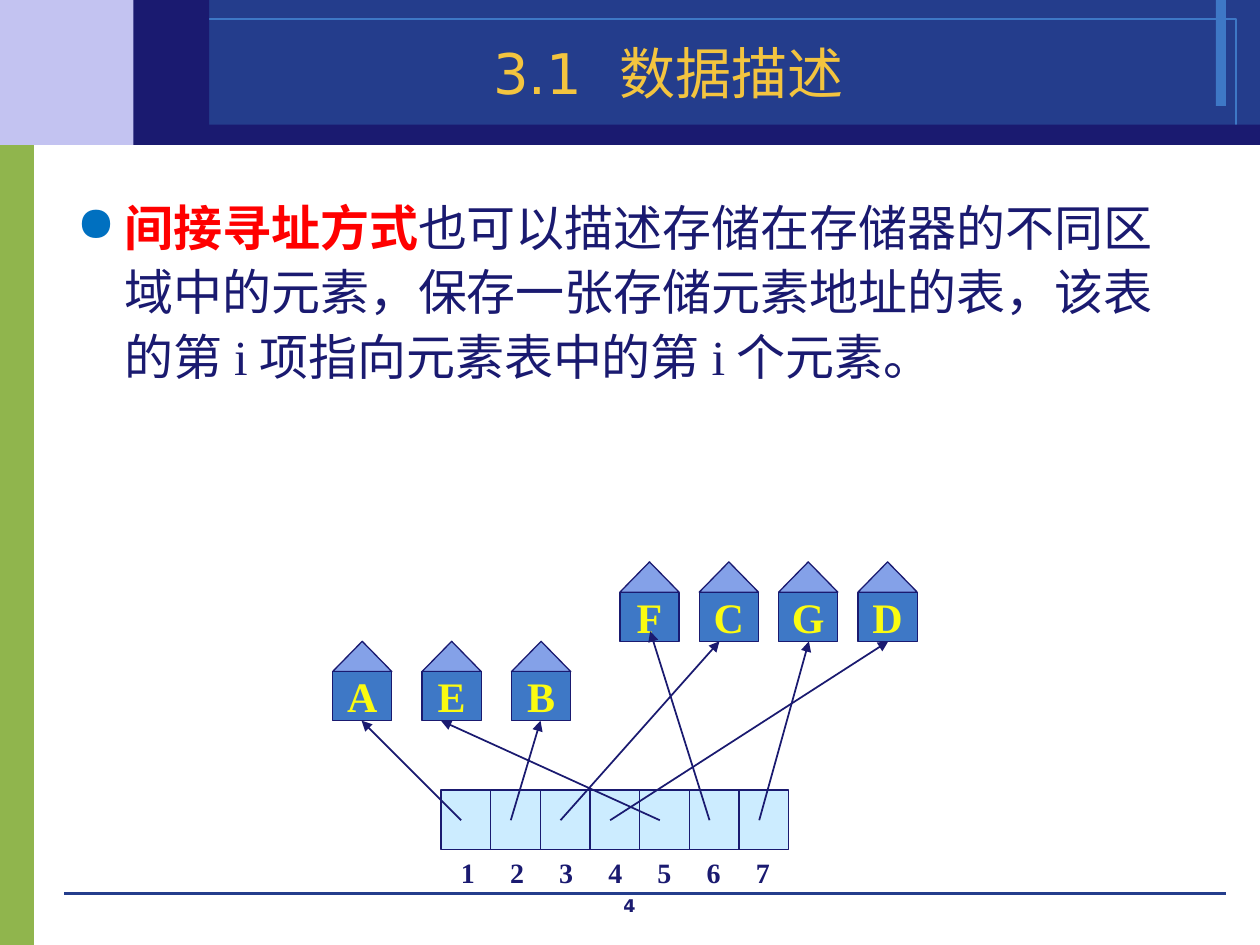
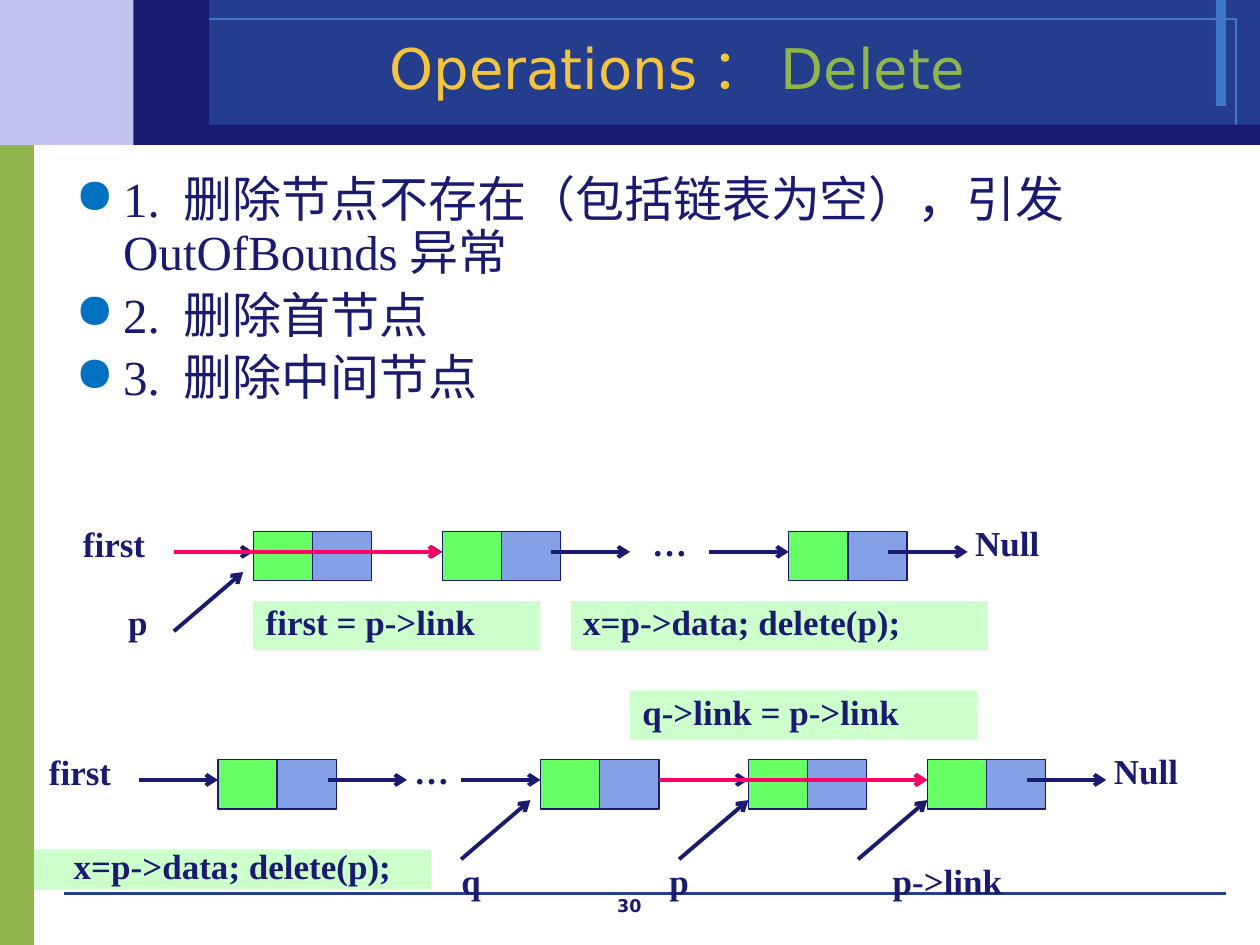
from lxml import etree
from pptx import Presentation
from pptx.dml.color import RGBColor
from pptx.enum import shapes, text
from pptx.oxml import ns
from pptx.util import Inches, Pt

HUE = {
    "navy": "1A1A70", "blue": "243D8C", "sky": "3E78C6", "lilac": "C3C3F1",
    "olive": "90B54D", "gold": "F3C43F", "dot": "0070C0", "red": "FF0000",
    "roof": "84A1E8", "glow": "FBFB11", "ice": "CCECFF", "lime": "66FF66",
    "mint": "CCFFCC", "pink": "FF0066",
}
SANS, SERIF = "DejaVu Sans", "Times New Roman"
RECT = shapes.MSO_SHAPE.RECTANGLE
ROOF = shapes.MSO_SHAPE.ISOSCELES_TRIANGLE
LEFT, MID = text.PP_ALIGN.LEFT, text.PP_ALIGN.CENTER
UNIT, TALL = 0.47, 0.39   # width and height of a house or of half a node
STEP = 2.76 / 7           # width of a cell in the address table


def rgb(hue):
    return RGBColor.from_string(HUE[hue])


def add(parent, tag, **attrs):
    return etree.SubElement(parent, ns.qn(tag), attrs)


def style(font, size, hue, name=SERIF, bold=False):
    font.size, font.name, font.bold = Pt(size), name, bold
    font.color.rgb = rgb(hue)


def block(slide, x, y, w, h, fill=None, line=None, width=0.75, kind=RECT):
    shape = slide.shapes.add_shape(kind, *map(Inches, (x, y, w, h)))
    shape.shadow.inherit = False
    if fill:
        shape.fill.solid()
        shape.fill.fore_color.rgb = rgb(fill)
    else:
        shape.fill.background()
    if line:
        shape.line.color.rgb = rgb(line)
        shape.line.width = Pt(width)
    else:
        shape.line.fill.background()
    return shape


def box(slide, x, y, w, h):
    return slide.shapes.add_textbox(*map(Inches, (x, y, w, h)))


def write(shape, words, size, align=MID, hue="navy", space=None):
    """Put one bold line in the vertical middle of a shape."""
    frame = shape.text_frame
    frame.word_wrap = True
    frame.vertical_anchor = text.MSO_ANCHOR.MIDDLE
    if align == MID:
        frame.margin_left = frame.margin_right = 0
    para = frame.paragraphs[0]
    para.text, para.alignment = words, align
    if space:
        para.line_spacing = space
    style(para.font, size, hue, bold=True)


def link(slide, x1, y1, x2, y2, hue="navy", width=2.25, head=None):
    line = slide.shapes.add_connector(
        shapes.MSO_CONNECTOR.STRAIGHT, *map(Inches, (x1, y1, x2, y2)))
    line.line.color.rgb = rgb(hue)
    line.line.width = Pt(width)
    if head:
        add(line.line._get_or_add_ln(), "a:tailEnd", type=head)
    add(line._element.spPr, "a:effectLst")


def frame(slide, page):
    """Draw the bands, the footer rule and the page number."""
    block(slide, 0, 1.07, 0.27, 6.43, "olive")
    block(slide, 0, 0, 1.53, 1.15, "lilac")
    block(slide, 1.53, 0, 8.47, 1.15, "blue")
    block(slide, 9.65, 0, 0.08, 0.84, "sky")
    block(slide, 1.19, 0.15, 8.62, 0.85, line="sky", width=0)
    link(slide, 0.51, 7.09, 9.73, 7.09, "blue", 0)
    block(slide, 1.3, 0.99, 8.7, 0.16, "navy")
    block(slide, 1.06, 0, 0.6, 1.15, "navy")
    para = box(slide, 3.83, 7.05, 2.33, 0.25).text_frame.paragraphs[0]
    para.text, para.alignment = page, MID
    style(para.font, 10, "navy", SANS, True)


def head(slide, parts, space=1.0):
    """Fill the title from (words, hue) parts and lift it above the bands."""
    title = slide.shapes.title
    title.left, title.top, title.width, title.height = map(
        Inches, (1.19, 0.26, 8.23, 0.62))
    body = title.text_frame
    body.auto_size = text.MSO_AUTO_SIZE.NONE
    body.vertical_anchor = text.MSO_ANCHOR.MIDDLE
    para = body.paragraphs[0]
    para.alignment, para.line_spacing = MID, space
    style(para.font, 32, parts[0][1], SANS)
    for words, hue in parts:
        run = para.add_run()
        run.text = words
        if hue != parts[0][1]:
            run.font.color.rgb = rgb(hue)
    slide.shapes.element.append(title.element)


def points(slide, x, y, items, space):
    """Write bulleted items, each a pair (red bold lead, rest)."""
    body = box(slide, x, y, 9, 2.5).text_frame
    body.word_wrap = True
    for i, (lead, rest) in enumerate(items):
        para = body.add_paragraph() if i else body.paragraphs[0]
        para.line_spacing = space
        if i:
            para.space_before = Pt(5.6)
        props = para._p.get_or_add_pPr()
        props.set("marL", str(Inches(0.38)))
        props.set("indent", str(-Inches(0.38)))
        add(add(props, "a:buClr"), "a:srgbClr", val=HUE["dot"])
        add(props, "a:buChar", char="●")
        style(para.font, 28, "navy")
        if lead:
            run = para.add_run()
            run.text = lead
            run.font.bold = True
            run.font.color.rgb = rgb("red")
        para.add_run().text = rest


def street(slide, x, y, step, names):
    """Draw a row of houses, one for each name."""
    for i, name in enumerate(names):
        left = x + i * step
        block(slide, left, y, UNIT, 0.24, "roof", "navy", kind=ROOF)
        wall = block(slide, left, y + 0.24, UNIT, TALL, "sky", "navy")
        write(wall, name, 24, hue="glow")


def table(slide, x, y, goals):
    """Draw the address cells, their arrows to the goals, and their indices."""
    for i in range(len(goals)):
        block(slide, x + i * STEP, y, STEP, UNIT, "ice", "navy")
    for i, goal in enumerate(goals):
        link(slide, x + 0.16 + i * STEP, y + 0.24, *goal, width=1,
             head="triangle")
    para = box(slide, x + 0.06, y + 0.47, 2.91, 0.37).text_frame.paragraphs[0]
    count = len(goals)
    para.text = "\t".join(str(i + 1) for i in range(count))
    tabs = add(para._p.get_or_add_pPr(), "a:tabLst")
    for i in range(1, count):
        add(tabs, "a:tab", pos=str(Inches(0.39 * i)), algn="l")
    style(para.font, 16, "navy", bold=True)


def chain(slide, x, y, nodes, links, tags, hops, skip):
    """Draw a linked list; all places are offsets from x and y."""
    for left in nodes:
        block(slide, x + left + UNIT, y, UNIT, TALL, "roof", "navy")
        block(slide, x + left, y, UNIT, TALL, "lime", "navy")
    mid = y + 0.16
    for left in links:
        link(slide, x + left, mid, x + left + 0.63, mid, head="arrow")
    for left in hops:
        link(slide, x + left, y + 0.79, x + left + 0.55, y + 0.32,
             head="arrow")
    link(slide, x + skip[0], mid, x + skip[1], mid, "pink", head="arrow")
    for words, left, top, wide in tags:
        write(box(slide, x + left, y + top, wide, TALL), words, 20, space=0.8)


def note(slide, x, y, w, words, h=TALL, align=LEFT):
    write(block(slide, x, y, w, h, "mint"), words, 20, align, space=0.8)


def address(slide):
    frame(slide, "4")
    head(slide, [("3.1\t数据描述", "gold")])
    points(slide, 0.51, 1.47, [(
        "间接寻址方式",
        "也可以描述存储在存储器的不同区域中的元素，保存一张存储元素地址的表，"
        "该表的第i项指向元素表中的第i个元素。")], 1.1)
    street(slide, 2.64, 5.09, 0.71, "AEB")
    street(slide, 4.92, 4.46, 0.63, "FCGD")
    table(slide, 3.5, 6.27, [
        (2.87, 5.72), (4.29, 5.72), (5.71, 5.09), (7.05, 5.09),
        (3.5, 5.72), (5.16, 5.01), (6.42, 5.09)])


def delete(slide):
    frame(slide, "30")
    head(slide, [(" Operations：", "gold"), ("Delete", "olive")], 0.9)
    points(slide, 0.5, 1.34, [
        ("", "1. 删除节点不存在（包括链表为空），引发OutOfBounds异常"),
        ("", "2. 删除首节点"),
        ("", "3. 删除中间节点")], 0.9)
    note(slide, 2.01, 4.77, 2.28, "first = p->link")
    note(slide, 4.53, 4.77, 3.31, "x=p->data; delete(p);")
    note(slide, 5, 5.48, 2.76, "q->link = p->link")
    note(slide, 0.27, 6.74, 3.15, "x=p->data; delete(p);", 0.32, MID)
    chain(slide, 0.51, 4.22, nodes=(1.5, 3, 5.75),
          links=(0.87, 2.37, 3.86, 5.12, 6.54),
          tags=[("first", 0, -0.07, 0.79), ("…", 4.41, -0.08, 0.79),
                ("Null", 7.09, -0.08, 0.79), ("p", 0.39, 0.55, 0.39)],
          hops=[0.87], skip=(0.87, 2.99))
    chain(slide, 0.24, 6.03, nodes=(1.49, 4.05, 5.7, 7.12),
          links=(0.86, 2.36, 3.42, 5.07, 6.49, 7.91),
          tags=[("first", 0, -0.07, 0.79), ("…", 2.79, -0.08, 0.79),
                ("Null", 8.46, -0.08, 0.79), ("q", 2.95, 0.79, 1.1),
                ("p", 4.6, 0.79, 1.1), ("p->link", 6.02, 0.79, 2.52)],
          hops=(3.42, 5.15, 6.57), skip=(4.99, 7.12))


def main():
    deck = Presentation()
    deck.slide_width, deck.slide_height = Inches(10), Inches(7.5)
    for build in (address, delete):
        build(deck.slides.add_slide(deck.slide_layouts[5]))
    deck.save("out.pptx")


if __name__ == "__main__":
    main()
